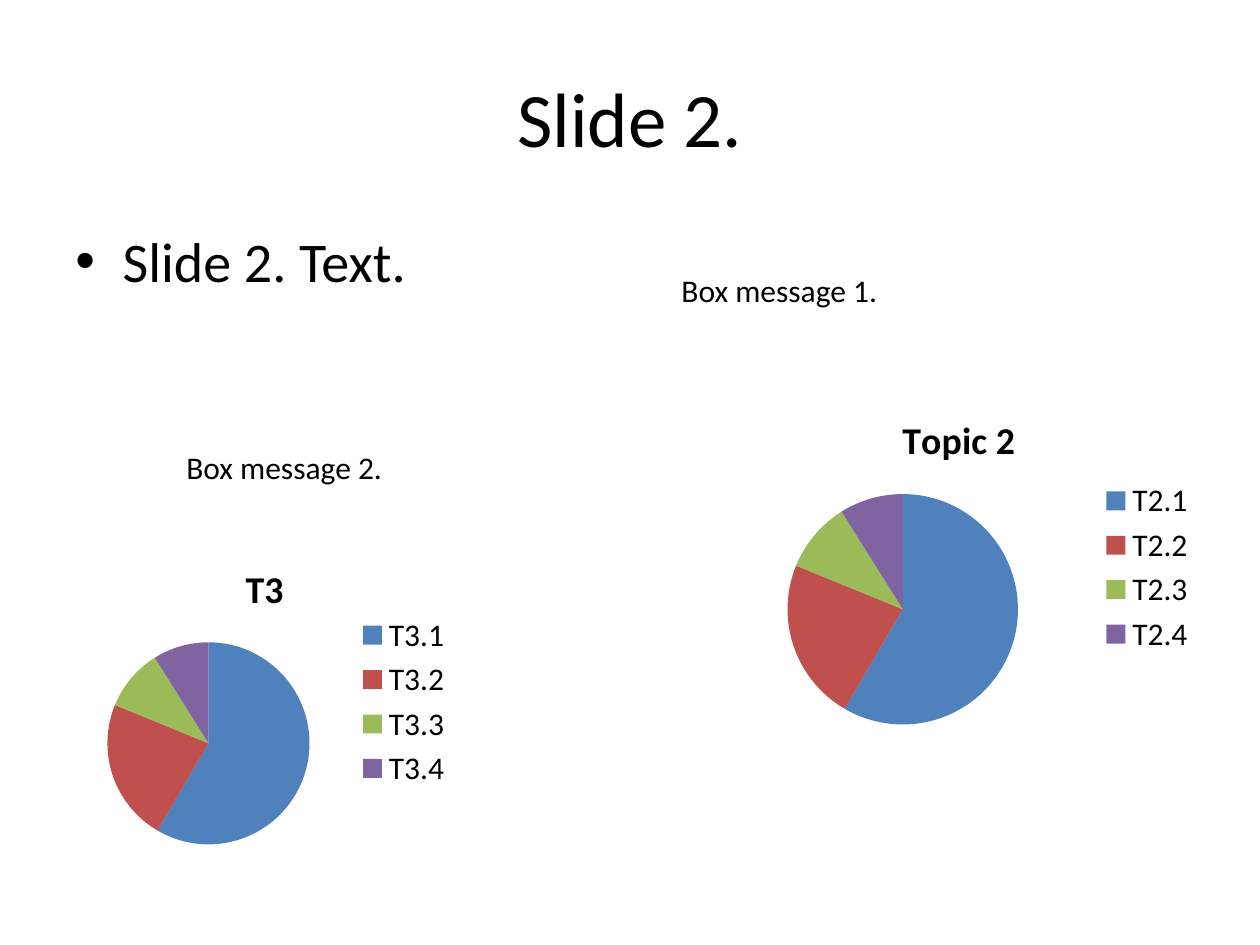
from dataclasses import dataclass

from lxml import etree
from pptx import Presentation
from pptx import util as u
from pptx.chart.data import CategoryChartData
from pptx.dml.color import RGBColor
from pptx.enum import chart as charts, text
from pptx.oxml.ns import qn
from pptx.slide import Slide
from pptx.text.text import Font, TextFrame


@dataclass(frozen=True)
class Theme:
    font: str = "Calibri"
    ink: str = "000000"
    slices: tuple[str, ...] = ("4F81BD", "C0504D", "9BBB59", "8064A2")
    title: float = 44
    body: float = 32
    label: float = 18
    chart_title: float = 21.6


@dataclass(frozen=True)
class Box:
    left: float
    top: float
    width: float
    height: float

    def lengths(self) -> tuple[u.Pt, ...]:
        return tuple(u.Pt(value) for value in (self.left, self.top, self.width, self.height))


@dataclass(frozen=True)
class Message:
    words: str
    box: Box


@dataclass(frozen=True)
class Pie:
    title: str
    prefix: str
    box: Box


THEME = Theme()
SHARES = (59, 23, 10, 9)
TITLE_BOX = Box(36, 21.6, 648, 90)
BODY_BOX = Box(36, 126, 648, 356.4)
BULLET_INDENT = 27
MESSAGES = (
    Message("Box message 1.", Box(382.3, 151.2, 181.4, 29)),
    Message("Box message 2.", Box(99.4, 252.7, 164.2, 29)),
)
PIES = (
    Pie("Topic 2", "T2", Box(405.4, 224.6, 285.1, 199.4)),
    Pie("T3", "T3", Box(36.7, 309.6, 229, 182.9)),
)


def style_font(font: Font, size: float, bold: bool = False) -> None:
    font.name = THEME.font
    font.size = u.Pt(size)
    font.bold = bold
    font.color.rgb = RGBColor.from_string(THEME.ink)


def write_text(
    frame: TextFrame,
    words: str,
    *,
    size: float,
    bold: bool = False,
    align: text.PP_ALIGN = text.PP_ALIGN.LEFT,
    anchor: text.MSO_ANCHOR = text.MSO_ANCHOR.TOP,
    bullet: bool = False,
) -> None:
    frame.word_wrap = True
    frame.vertical_anchor = anchor
    paragraph = frame.paragraphs[0]
    paragraph.alignment = align
    run = paragraph.add_run()
    run.text = words
    style_font(run.font, size, bold)
    if bullet:
        paragraph.space_before = u.Pt(size * 0.2)
        properties = paragraph._p.get_or_add_pPr()
        properties.set("marL", str(u.Pt(BULLET_INDENT)))
        properties.set("indent", str(-u.Pt(BULLET_INDENT)))
        etree.SubElement(properties, qn("a:buFont"), typeface="Arial")
        etree.SubElement(properties, qn("a:buChar"), char="•")


def add_title(slide: Slide, words: str) -> None:
    title = slide.shapes.title
    title.left, title.top, title.width, title.height = TITLE_BOX.lengths()
    write_text(
        title.text_frame,
        words,
        size=THEME.title,
        align=text.PP_ALIGN.CENTER,
        anchor=text.MSO_ANCHOR.MIDDLE,
    )


def add_message(slide: Slide, message: Message, size: float, bullet: bool = False) -> None:
    shape = slide.shapes.add_textbox(*message.box.lengths())
    write_text(shape.text_frame, message.words, size=size, bullet=bullet)


def add_pie(slide: Slide, pie: Pie) -> None:
    data = CategoryChartData()
    data.categories = [f"{pie.prefix}.{number}" for number in range(1, len(SHARES) + 1)]
    data.add_series(pie.title, SHARES)
    chart = slide.shapes.add_chart(charts.XL_CHART_TYPE.PIE, *pie.box.lengths(), data).chart
    style_font(chart.font, THEME.label)
    chart.has_title = True
    write_text(
        chart.chart_title.text_frame,
        pie.title,
        size=THEME.chart_title,
        bold=True,
        align=text.PP_ALIGN.CENTER,
    )
    chart.chart_title.include_in_layout = False
    chart.has_legend = True
    chart.legend.position = charts.XL_LEGEND_POSITION.RIGHT
    chart.legend.include_in_layout = False
    style_font(chart.legend.font, THEME.label)
    plot = chart.plots[0]
    plot.vary_by_categories = True
    for index, color in enumerate(THEME.slices):
        fill = plot.series[0].points[index].format.fill
        fill.solid()
        fill.fore_color.rgb = RGBColor.from_string(color)


def main() -> None:
    presentation = Presentation()
    presentation.slide_width = u.Pt(720)
    presentation.slide_height = u.Pt(540)
    slide = presentation.slides.add_slide(presentation.slide_layouts[5])
    add_title(slide, "Slide 2.")
    add_message(slide, Message("Slide 2. Text.", BODY_BOX), THEME.body, bullet=True)
    for pie, message in zip(PIES, MESSAGES):
        add_pie(slide, pie)
        add_message(slide, message, THEME.label)
    presentation.save("out.pptx")


if __name__ == "__main__":
    main()
